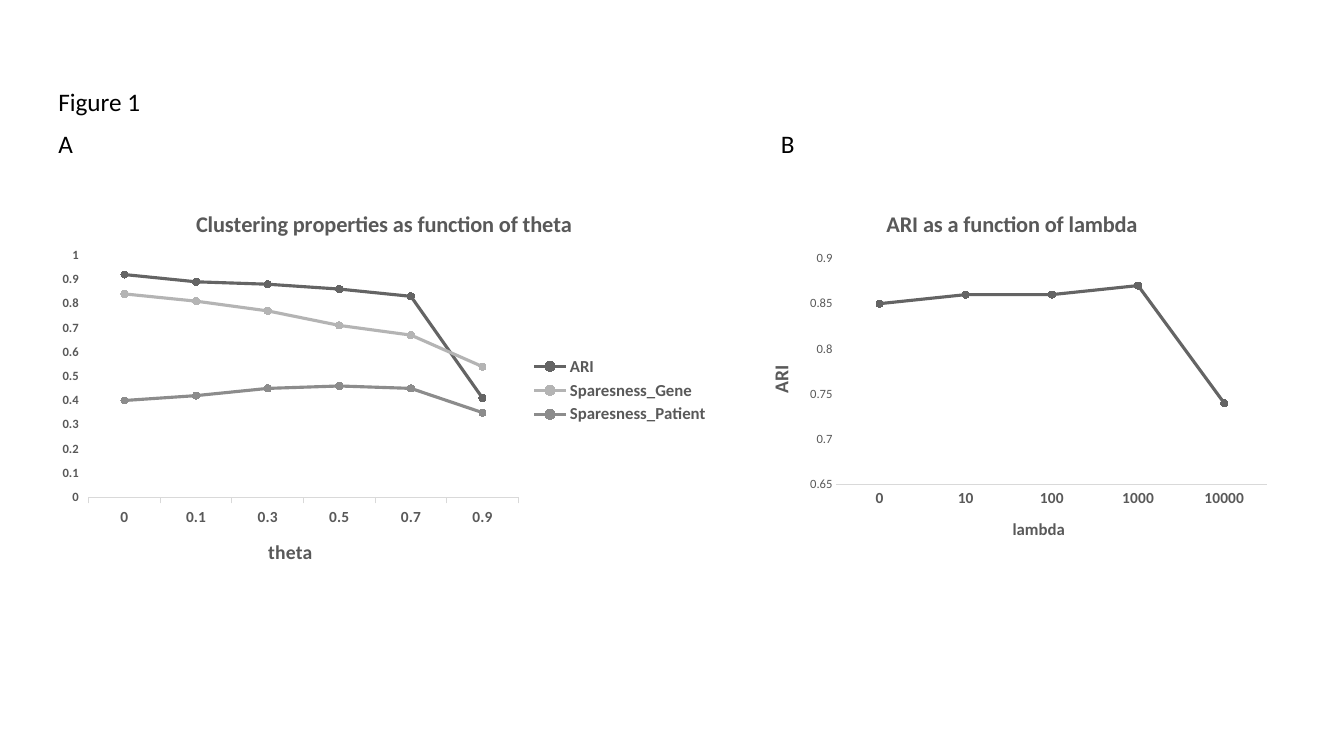
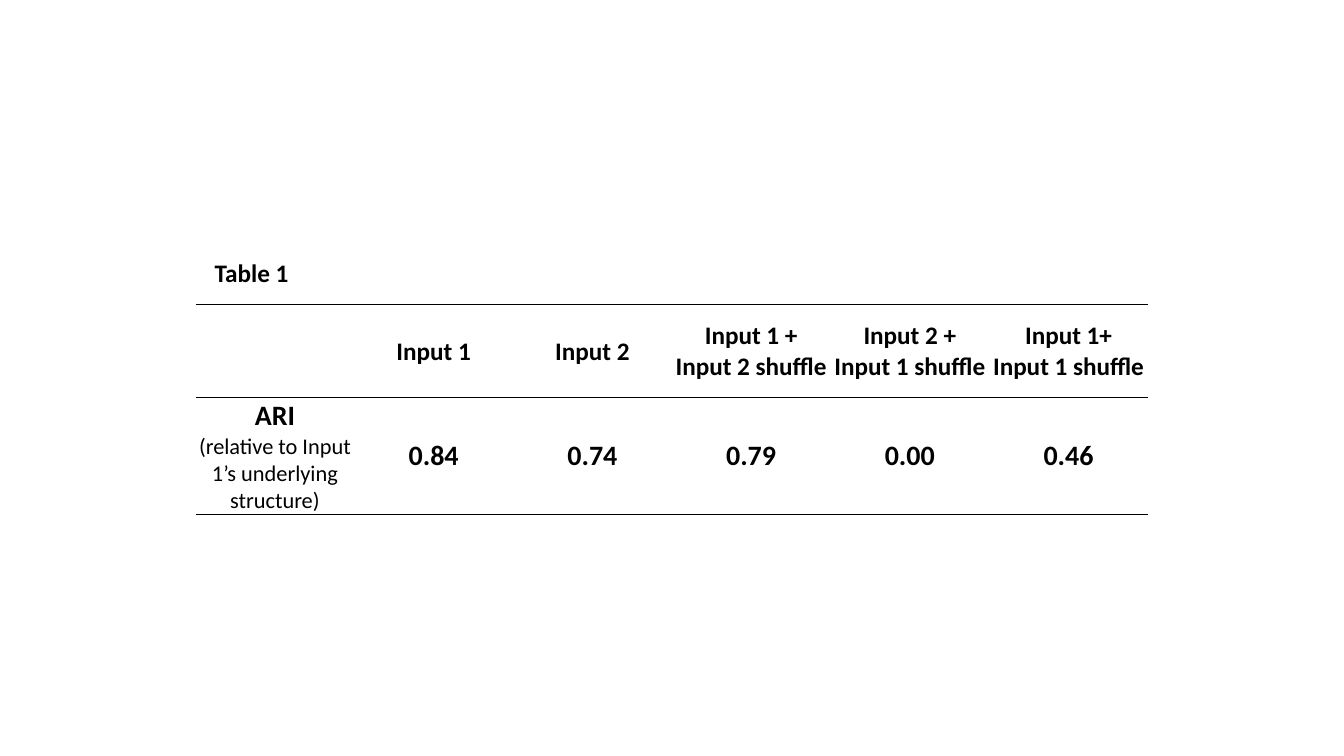
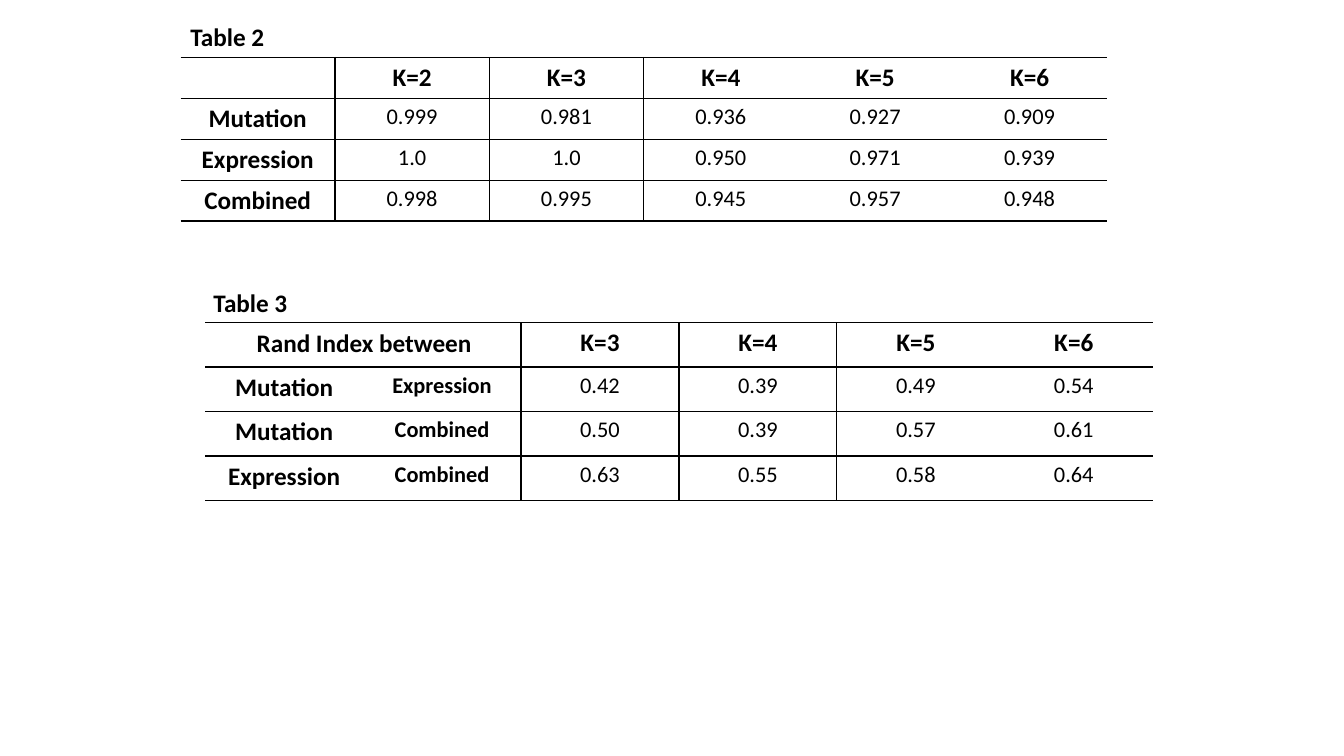
from dataclasses import dataclass
from typing import Optional

from lxml.etree import SubElement
from pptx import Presentation
from pptx.chart.data import CategoryChartData
from pptx.dml.color import RGBColor
from pptx.enum.chart import XL_CHART_TYPE, XL_LEGEND_POSITION, XL_MARKER_STYLE, XL_TICK_MARK
from pptx.enum.text import MSO_ANCHOR, MSO_AUTO_SIZE, PP_ALIGN
from pptx.oxml import parse_xml
from pptx.oxml.ns import nsdecls, qn
from pptx.util import Cm, Pt


@dataclass(frozen=True)
class TextStyle:
    size: float
    bold: bool = False
    color: str = "000000"


@dataclass(frozen=True)
class Theme:
    font: str = "Calibri"
    ink: str = "000000"
    paper: str = "FFFFFF"
    chart_text: str = "595959"
    axis_line: str = "D9D9D9"
    dark: str = "646464"
    light: str = "B4B4B4"
    middle: str = "8C8C8C"
    caption: TextStyle = TextStyle(18)
    heading: TextStyle = TextStyle(18, True)
    subheading: TextStyle = TextStyle(16, True)
    body: TextStyle = TextStyle(16)
    result: TextStyle = TextStyle(20, True)
    chart_title: TextStyle = TextStyle(16, True, "595959")
    axis_title: TextStyle = TextStyle(14, True, "595959")
    small_axis_title: TextStyle = TextStyle(12, True, "595959")
    category: TextStyle = TextStyle(11, True, "595959")
    value: TextStyle = TextStyle(9, False, "595959")
    bold_value: TextStyle = TextStyle(9, True, "595959")
    legend: TextStyle = TextStyle(12, True, "595959")


THEME = Theme()
NO_TABLE_STYLE = "{2D5ABB26-0587-4C30-8999-92F81FD0307C}"


@dataclass(frozen=True)
class Frame:
    left: float
    top: float
    width: float
    height: float = 1.02

    def lengths(self) -> tuple:
        return Cm(self.left), Cm(self.top), Cm(self.width), Cm(self.height)


@dataclass(frozen=True)
class Caption:
    text: str
    frame: Frame
    style: TextStyle = THEME.heading


@dataclass(frozen=True)
class Line:
    text: str
    style: TextStyle


@dataclass(frozen=True)
class Grid:
    left: float
    top: float
    column_width: float
    row_heights: list
    rows: list
    ruled_rows: set
    ruled_columns: set
    compact: bool = False


@dataclass(frozen=True)
class Series:
    name: str
    values: tuple
    color: str


@dataclass(frozen=True)
class AxisLook:
    label: TextStyle
    title: str = ""
    title_style: TextStyle = THEME.axis_title


@dataclass(frozen=True)
class LineChart:
    title: str
    frame: Frame
    plot: tuple
    categories: tuple
    series: list
    category_axis: AxisLook
    value_axis: AxisLook
    value_range: tuple
    tick: XL_TICK_MARK
    legend: bool = False


def apply_style(font, style: TextStyle) -> None:
    font.name = THEME.font
    font.size = Pt(style.size)
    font.bold = style.bold
    font.color.rgb = RGBColor.from_string(style.color)


def add_caption(page, caption: Caption) -> None:
    box = page.shapes.add_textbox(*caption.frame.lengths())
    frame = box.text_frame
    frame.word_wrap = True
    frame.auto_size = MSO_AUTO_SIZE.SHAPE_TO_FIT_TEXT
    frame.text = caption.text
    apply_style(frame.paragraphs[0].runs[0].font, caption.style)


def cells(style: TextStyle, *texts: str) -> list:
    return [[Line(part, style) for part in text.split("\n")] if text else [] for text in texts]


def fill_cell(cell, lines: list, compact: bool) -> None:
    if compact:
        cell.fill.solid()
        cell.fill.fore_color.rgb = RGBColor.from_string(THEME.paper)
        cell.vertical_anchor = MSO_ANCHOR.MIDDLE
        cell.margin_left = cell.margin_right = cell.margin_top = Cm(0.03)
        cell.margin_bottom = Cm(0)
    else:
        cell.fill.background()
    if not lines:
        return
    cell.text_frame.text = "\n".join(line.text for line in lines)
    for para, line in zip(cell.text_frame.paragraphs, lines):
        para.alignment = PP_ALIGN.CENTER
        apply_style(para.runs[0].font, line.style)


def rule_cell(cell, sides: list) -> None:
    properties = cell._tc.get_or_add_tcPr()
    for position, side in enumerate(sides):
        border = parse_xml(
            f'<a:ln{side} {nsdecls("a")} w="12700"><a:solidFill>'
            f'<a:srgbClr val="{THEME.ink}"/></a:solidFill></a:ln{side}>'
        )
        properties.insert(position, border)


def add_grid(page, grid: Grid) -> None:
    row_count, column_count = len(grid.rows), len(grid.rows[0])
    frame = Frame(grid.left, grid.top, grid.column_width * column_count, sum(grid.row_heights))
    table = page.shapes.add_table(row_count, column_count, *frame.lengths()).table
    table.first_row = table.horz_banding = False
    table._tbl.tblPr.find(qn("a:tableStyleId")).text = NO_TABLE_STYLE
    for column in table.columns:
        column.width = Cm(grid.column_width)
    for r, (height, row) in enumerate(zip(grid.row_heights, grid.rows)):
        table.rows[r].height = Cm(height)
        for c, lines in enumerate(row):
            cell = table.cell(r, c)
            fill_cell(cell, lines, grid.compact)
            edges = {
                "L": c in grid.ruled_columns,
                "R": c + 1 in grid.ruled_columns,
                "T": r in grid.ruled_rows,
                "B": r + 1 in grid.ruled_rows,
            }
            rule_cell(cell, [side for side, ruled in edges.items() if ruled])


def set_title(owner, text: str, style: TextStyle) -> None:
    owner.text_frame.text = text
    apply_style(owner.text_frame.paragraphs[0].runs[0].font, style)


def format_axis(axis, look: AxisLook, tick: XL_TICK_MARK) -> None:
    axis.has_major_gridlines = False
    axis.major_tick_mark = tick
    axis.minor_tick_mark = XL_TICK_MARK.NONE
    apply_style(axis.tick_labels.font, look.label)
    axis.tick_labels.number_format = "General"
    axis.tick_labels.number_format_is_linked = False
    axis.has_title = bool(look.title)
    if look.title:
        set_title(axis.axis_title, look.title, look.title_style)


def place_plot(chart, plot: tuple) -> None:
    area = chart._chartSpace.chart.plotArea
    for old in area.findall(qn("c:layout")):
        area.remove(old)
    layout = parse_xml(f'<c:layout {nsdecls("c")}/>')
    area.insert(0, layout)
    manual = SubElement(layout, qn("c:manualLayout"))
    settings = ("inner", "edge", "edge", *plot)
    for name, value in zip(("layoutTarget", "xMode", "yMode", "x", "y", "w", "h"), settings):
        SubElement(manual, qn(f"c:{name}")).set("val", str(value))


def add_line_chart(page, content: LineChart) -> None:
    data = CategoryChartData()
    data.categories = content.categories
    for series in content.series:
        data.add_series(series.name, series.values)
    chart = page.shapes.add_chart(
        XL_CHART_TYPE.LINE_MARKERS, *content.frame.lengths(), data
    ).chart
    chart.font.name = THEME.font
    chart.font.size = Pt(10)
    chart.has_title = True
    set_title(chart.chart_title, content.title, THEME.chart_title)
    chart.has_legend = content.legend
    if content.legend:
        chart.legend.position = XL_LEGEND_POSITION.RIGHT
        chart.legend.include_in_layout = False
        apply_style(chart.legend.font, THEME.legend)

    format_axis(chart.category_axis, content.category_axis, content.tick)
    axis_line = chart.category_axis.format.line
    axis_line.color.rgb = RGBColor.from_string(THEME.axis_line)
    axis_line.width = Pt(0.75)
    value_axis = chart.value_axis
    format_axis(value_axis, content.value_axis, content.tick)
    value_axis.format.line.fill.background()
    value_axis.minimum_scale, value_axis.maximum_scale, value_axis.major_unit = content.value_range
    if content.value_axis.title:
        body = value_axis.axis_title.text_frame._txBody.bodyPr
        body.set("rot", "-5400000")
        body.set("vert", "horz")

    chart.plots[0].vary_by_categories = False
    for drawn, series in zip(chart.plots[0].series, content.series):
        color = RGBColor.from_string(series.color)
        drawn.smooth = False
        drawn.format.line.color.rgb = color
        drawn.format.line.width = Pt(2.25)
        drawn.marker.style = XL_MARKER_STYLE.CIRCLE
        drawn.marker.size = 5
        drawn.marker.format.fill.solid()
        drawn.marker.format.fill.fore_color.rgb = color
        drawn.marker.format.line.color.rgb = color
    place_plot(chart, content.plot)


@dataclass(frozen=True)
class PageContent:
    captions: list
    charts: Optional[list] = None
    grids: Optional[list] = None


FIGURE_1 = PageContent(
    captions=[
        Caption("Figure 1", Frame(1.22, 2.06, 3.68), THEME.caption),
        Caption("A", Frame(1.22, 3.1, 3.68), THEME.caption),
        Caption("B", Frame(19.43, 3.1, 3.68), THEME.caption),
    ],
    charts=[
        LineChart(
            "Clustering properties as function of theta",
            Frame(1.22, 4.83, 16.92, 10.01),
            (0.06, 0.16, 0.64, 0.61),
            (0, 0.1, 0.3, 0.5, 0.7, 0.9),
            [
                Series("ARI", (0.92, 0.89, 0.88, 0.86, 0.83, 0.41), THEME.dark),
                Series("Sparesness_Gene", (0.84, 0.81, 0.77, 0.71, 0.67, 0.54), THEME.light),
                Series("Sparesness_Patient", (0.4, 0.42, 0.45, 0.46, 0.45, 0.35), THEME.middle),
            ],
            AxisLook(THEME.category, "theta"),
            AxisLook(THEME.bold_value),
            (0, 1, 0.1),
            XL_TICK_MARK.OUTSIDE,
            legend=True,
        ),
        LineChart(
            "ARI as a function of lambda",
            Frame(18.8, 4.83, 13.41, 9.35),
            (0.17, 0.18, 0.81, 0.61),
            (0, 10, 100, 1000, 10000),
            [Series("Series 1", (0.85, 0.86, 0.86, 0.87, 0.74), THEME.dark)],
            AxisLook(THEME.category, "lambda", THEME.small_axis_title),
            AxisLook(THEME.value, "ARI"),
            (0.65, 0.9, 0.05),
            XL_TICK_MARK.NONE,
        ),
    ],
)

ARI_LABEL = [
    Line("ARI", THEME.result),
    Line("(relative to Input 1’s underlying structure)", THEME.body),
]

TABLE_1 = PageContent(
    captions=[Caption("Table 1", Frame(5.16, 6.35, 2.49))],
    grids=[
        Grid(
            4.93, 7.67, 4, [2.34, 2.95],
            [
                cells(THEME.heading, "", "Input 1", "Input 2", "Input 1 +\nInput 2 shuffle",
                      "Input 2 +\nInput 1 shuffle", "Input 1+\nInput 1 shuffle"),
                [ARI_LABEL, *cells(THEME.result, "0.84", "0.74", "0.79", "0.00", "0.46")],
            ],
            {0, 1, 2}, set(), compact=True,
        )
    ],
)


def score_row(label: str, *scores: str, partner: str = "") -> list:
    partners = cells(THEME.subheading, partner) if partner else []
    return cells(THEME.heading, label) + partners + cells(THEME.body, *scores)


TABLES_2_AND_3 = PageContent(
    captions=[
        Caption("Table 2", Frame(4.55, 0.41, 5.28)),
        Caption("Table 3", Frame(5.13, 7.11, 5.28)),
        Caption("Rand Index between", Frame(6.22, 8.13, 6.43)),
    ],
    grids=[
        Grid(
            4.55, 1.45, 3.89, [1.03] * 4,
            [
                cells(THEME.heading, "", "K=2", "K=3", "K=4", "K=5", "K=6"),
                score_row("Mutation", "0.999", "0.981", "0.936", "0.927", "0.909"),
                score_row("Expression", "1.0", "1.0", "0.950", "0.971", "0.939"),
                score_row("Combined", "0.998", "0.995", "0.945", "0.957", "0.948"),
            ],
            {0, 1, 2, 4}, {1, 2},
        ),
        Grid(
            5.17, 8.13, 3.98, [1.12] * 4,
            [
                cells(THEME.heading, "", "", "K=3", "K=4", "K=5", "K=6"),
                score_row("Mutation", "0.42", "0.39", "0.49", "0.54", partner="Expression"),
                score_row("Mutation", "0.50", "0.39", "0.57", "0.61", partner="Combined"),
                score_row("Expression", "0.63", "0.55", "0.58", "0.64", partner="Combined"),
            ],
            {0, 1, 2, 4}, {2, 3},
        ),
    ],
)


def main() -> None:
    deck = Presentation()
    deck.slide_width, deck.slide_height = Cm(33.87), Cm(19.05)
    for content in (FIGURE_1, TABLE_1, TABLES_2_AND_3):
        page = deck.slides.add_slide(deck.slide_layouts[6])
        for chart in content.charts or []:
            add_line_chart(page, chart)
        for grid in content.grids or []:
            add_grid(page, grid)
        for caption in content.captions:
            add_caption(page, caption)
    deck.save("out.pptx")


if __name__ == "__main__":
    main()
